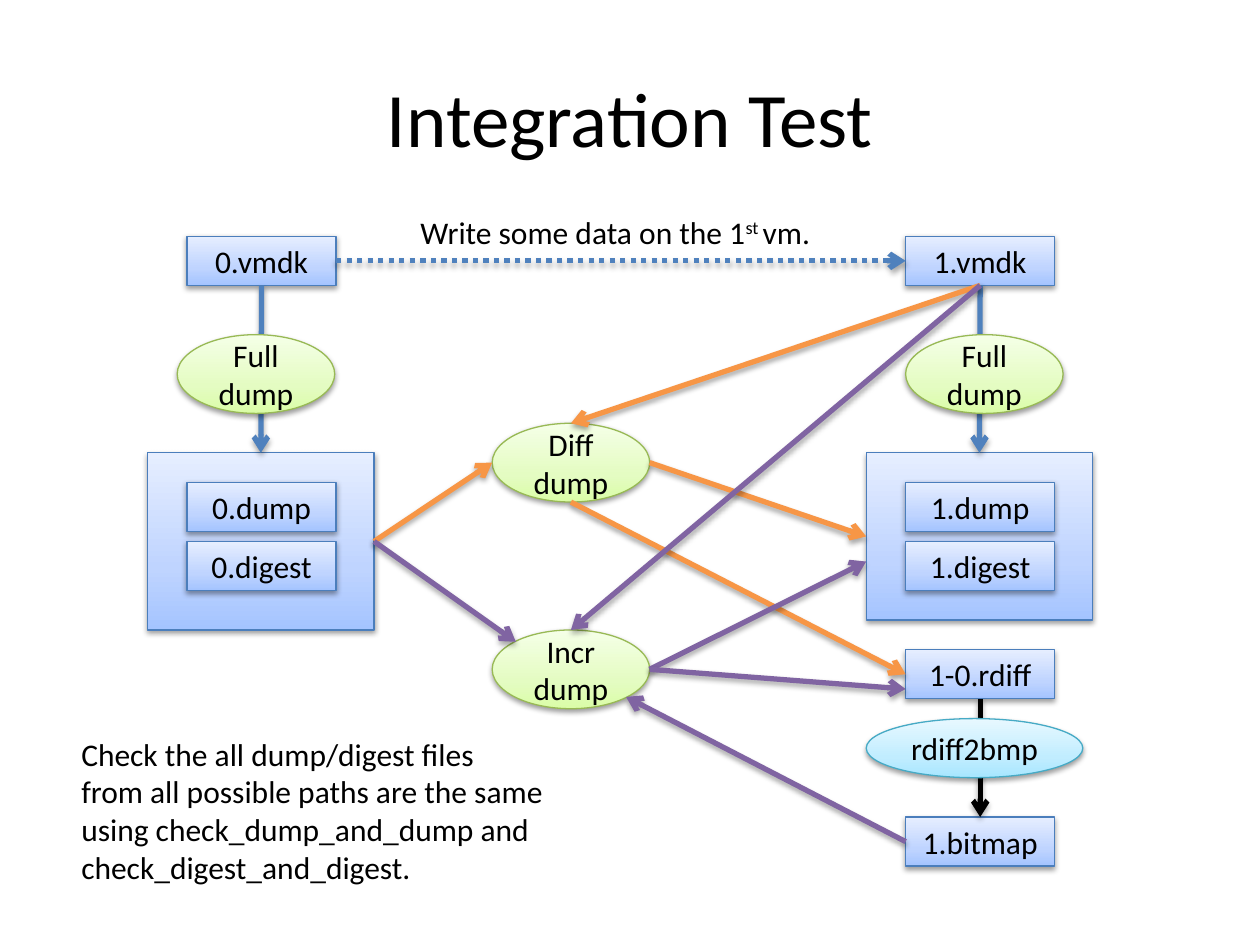
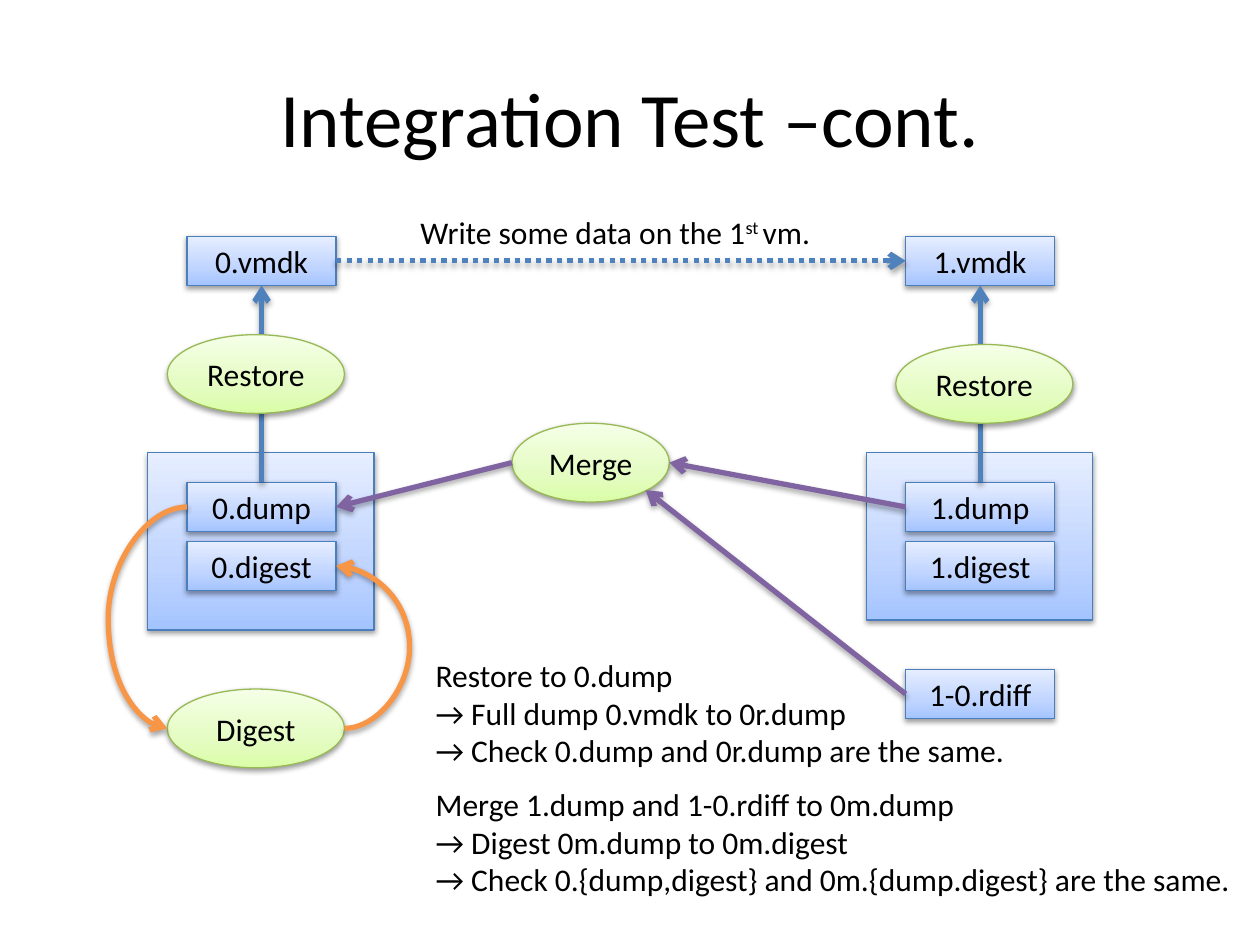
from dataclasses import dataclass

from lxml.etree import SubElement
from pptx import Presentation
from pptx.dml.color import RGBColor
from pptx.enum.dml import MSO_LINE
from pptx.enum.shapes import MSO_CONNECTOR, MSO_SHAPE
from pptx.enum.text import MSO_ANCHOR, PP_ALIGN
from pptx.oxml import parse_xml
from pptx.oxml.ns import nsdecls, qn
from pptx.util import Inches, Pt

COLUMNS, ROWS = 128, 96
CELL = Inches(10) / COLUMNS
FONT = "Calibri"

COLOURS = {
    "text": "000000", "convert": "000000",
    "full": "4F81BD", "diff": "F79646", "merge": "8064A2",
}
# Line colour, then gradient stops from bottom to top
LOOKS = {
    "file": ("4B7EBC", {0: "A4C4FF", 35: "BFD4FF", 100: "E6EEFF"}),
    "action": ("98B955", {0: "DAFDA7", 35: "E4FCC2", 100: "F5FFE7"}),
    "tool": ("46AAC5", {0: "A7E6FF", 35: "C1EDFF", 100: "E7F8FF"}),
}
# Attachment points as shares of a box; corners lie on the ellipse
SIDES = {
    "top": (0.5, 0), "bottom": (0.5, 1), "left": (0, 0.5), "right": (1, 0.5),
    "upper left": (0.15, 0.15), "lower right": (0.85, 0.85),
}
FILE_SIZE = (15.15, 5)
ACTION_SIZE = (16, 8)
WIDE_ACTION_SIZE = (18, 8)


@dataclass
class Box:
    """A rectangle measured in grid columns and rows."""
    left: float
    top: float
    width: float
    height: float

    def area(self, column, row, width, height):
        return Box(self.left + column, self.top + row, width, height)

    def point(self, side):
        across, down = SIDES.get(side, side)
        return self.left + across * self.width, self.top + down * self.height

    def lengths(self):
        return to_lengths(self.left, self.top, self.width, self.height)


def to_lengths(*cells):
    return [round(cell * CELL) for cell in cells]


def apply_format(target, values):
    for name, value in values.items():
        setattr(target, name, value)


def format_paragraph(paragraph, size, alignment):
    paragraph.alignment = alignment
    for run in paragraph.runs:
        apply_format(run.font, {"name": FONT, "size": Pt(size)})
        run.font.color.rgb = RGBColor.from_string(COLOURS["text"])


def add_shadow(effects, distance, opacity):
    shadow = SubElement(effects, qn("a:outerShdw"), blurRad="40000", dist=str(distance),
                        dir="5400000", rotWithShape="0")
    colour = SubElement(shadow, qn("a:srgbClr"), val="000000")
    SubElement(colour, qn("a:alpha"), val=str(opacity * 1000))


def write_lines(frame, lines, size=18, alignment=PP_ALIGN.CENTER):
    for index, line in enumerate(lines):
        paragraph = frame.add_paragraph() if index else frame.paragraphs[0]
        paragraph.text = line
        format_paragraph(paragraph, size, alignment)


def add_node(slide, box, text="", look="file"):
    """Draw a file rectangle or an action ellipse and return its box."""
    preset = MSO_SHAPE.RECTANGLE if look == "file" else MSO_SHAPE.OVAL
    shape = slide.shapes.add_shape(preset, *box.lengths())
    line_colour, stops = LOOKS[look]
    stop_xml = "".join(f'<a:gs pos="{share * 1000}"><a:srgbClr val="{colour}"/></a:gs>'
                       for share, colour in stops.items())
    gradient = parse_xml(f'<a:gradFill {nsdecls("a")} rotWithShape="1"><a:gsLst>{stop_xml}'
                         '</a:gsLst><a:lin ang="16200000" scaled="0"/></a:gradFill>')
    properties = shape.element.spPr
    properties.find(qn("a:prstGeom")).addnext(gradient)
    shape.line.color.rgb = RGBColor.from_string(line_colour)
    shape.line.width = Pt(0.75)
    shape.shadow.inherit = False
    add_shadow(properties.find(qn("a:effectLst")), 20000, 38)
    if text:
        shape.text_frame.vertical_anchor = MSO_ANCHOR.MIDDLE
        write_lines(shape.text_frame, text.split("\n"))
    return box


def add_arrow(slide, start, end, colour, dash=None, bulge=None):
    """Join two grid points; a bulge in columns bends the arrow sideways."""
    kind = MSO_CONNECTOR.CURVE if bulge else MSO_CONNECTOR.STRAIGHT
    connector = slide.shapes.add_connector(kind, *to_lengths(*start, *end))
    apply_format(connector.line, {"width": Pt(3), "dash_style": dash})
    connector.line.color.rgb = RGBColor.from_string(COLOURS[colour])
    properties = connector._element.spPr
    SubElement(properties.find(qn("a:ln")), qn("a:tailEnd"), type="arrow")
    add_shadow(SubElement(properties, qn("a:effectLst")), 23000, 35)
    if bulge:
        geometry = properties.find(qn("a:prstGeom"))
        for guide in geometry.findall(qn("a:avLst")):
            geometry.remove(guide)
        bend = round(bulge / (end[0] - start[0]) * 100000)
        SubElement(SubElement(geometry, qn("a:avLst")), qn("a:gd"),
                   name="adj1", fmla=f"val {bend}")


def join_nodes(slide, nodes, colour, joins):
    for source, source_side, target, target_side in joins:
        add_arrow(slide, nodes[source].point(source_side),
                  nodes[target].point(target_side), colour)


def add_text(slide, box, lines, size=18, alignment=PP_ALIGN.LEFT, **frame_format):
    frame = slide.shapes.add_textbox(*box.lengths()).text_frame
    apply_format(frame, {"word_wrap": False, **frame_format})
    write_lines(frame, lines, size, alignment)
    return frame


def add_title(slide, box, title):
    add_text(slide, box, [title], 44, PP_ALIGN.CENTER,
             word_wrap=True, vertical_anchor=MSO_ANCHOR.MIDDLE)


def add_machine(slide, box, number):
    """Disk on top, panel with dump and digest below."""
    return {
        f"{number}.panel": add_node(slide, box.area(0, 22, box.width, box.height - 22)),
        **{f"{number}.{name}": add_node(slide, box.area(4, row, *FILE_SIZE), f"{number}.{name}")
           for name, row in (("vmdk", 0), ("dump", 25), ("digest", 31))},
    }


def add_write_step(slide, box, nodes):
    """Dotted arrow between the disks with its label."""
    add_arrow(slide, nodes["0.vmdk"].point("right"), nodes["1.vmdk"].point("left"),
              "full", MSO_LINE.ROUND_DOT)
    frame = add_text(slide, box, ["Write some data on the 1"], word_wrap=True)
    paragraph = frame.paragraphs[0]
    for text in ("st ", "vm."):
        paragraph.add_run().text = text
    format_paragraph(paragraph, 18, PP_ALIGN.CENTER)
    paragraph.runs[1]._r.get_or_add_rPr().set("baseline", "30000")


def start_slide(presentation, page, title):
    """Shared by both slides: title, two machines, write step."""
    slide = presentation.slides.add_slide(presentation.slide_layouts[6])
    add_title(slide, page.area(page.width * 0.05, page.height * 0.04,
                               page.width * 0.9, page.height / 6), title)
    nodes = {**add_machine(slide, page.area(15, 24, 23, 40), 0),
             **add_machine(slide, page.area(88, 24, 23, 39), 1)}
    add_write_step(slide, page.area(38, 21, 49, 5), nodes)
    return slide, nodes


def add_dump_slide(presentation, page):
    slide, nodes = start_slide(presentation, page, "Integration Test")

    # Difference files
    for name, row in (("1-0.rdiff", 66), ("1.bitmap", 83)):
        nodes[name] = add_node(slide, page.area(92, row, *FILE_SIZE), name)

    # Vertical arrows run beneath the ellipses
    join_nodes(slide, nodes, "full", [(f"{number}.vmdk", "bottom", f"{number}.panel", "top")
                                      for number in (0, 1)])
    join_nodes(slide, nodes, "convert", [("1-0.rdiff", "bottom", "1.bitmap", "top")])
    for column in (18, 92):
        add_node(slide, page.area(column, 34, *ACTION_SIZE), "Full dump", "action")
    add_node(slide, page.area(88, 73, 22, 6), "rdiff2bmp", "tool")
    for name, row in (("Diff", 43), ("Incr", 64)):
        nodes[name] = add_node(slide, page.area(50, row, *ACTION_SIZE), f"{name}\ndump", "action")

    # Routes through the two partial dumps
    join_nodes(slide, nodes, "diff", [
        ("0.panel", "right", "Diff", "left"),
        ("1.vmdk", "bottom", "Diff", "top"),
        ("Diff", "right", "1.panel", "left"),
        ("Diff", "bottom", "1-0.rdiff", "left"),
    ])
    join_nodes(slide, nodes, "merge", [
        ("0.panel", "right", "Incr", "upper left"),
        ("1.vmdk", "bottom", "Incr", "top"),
        ("1.bitmap", "left", "Incr", "lower right"),
        ("Incr", "right", "1.panel", (0, 0.65)),
        ("Incr", "right", "1-0.rdiff", (0, 0.8)),
    ])
    add_text(slide, page.area(7, 74, 50, 17), [
        "Check the all dump/digest files\nfrom all possible paths are the same",
        "using check_dump_and_dump and\ncheck_digest_and_digest.",
    ])


def add_restore_slide(presentation, page):
    slide, nodes = start_slide(presentation, page, "Integration Test –cont.")
    nodes["1-0.rdiff"] = add_node(slide, page.area(92, 68, *FILE_SIZE), "1-0.rdiff")

    # Restore arrows run beneath the ellipses
    join_nodes(slide, nodes, "full", [(f"{number}.dump", "top", f"{number}.vmdk", "bottom")
                                      for number in (0, 1)])
    for name, column, row, size in (("Restore", 17, 34, WIDE_ACTION_SIZE),
                                    ("Restore", 91, 35, WIDE_ACTION_SIZE),
                                    ("Merge", 52, 43, ACTION_SIZE),
                                    ("Digest", 17, 70, WIDE_ACTION_SIZE)):
        nodes[name] = add_node(slide, page.area(column, row, *size), name, "action")

    # Merge routes and digest loop
    join_nodes(slide, nodes, "merge", [
        ("Merge", "left", "0.dump", "right"),
        ("1.dump", "left", "Merge", "right"),
        ("1-0.rdiff", "left", "Merge", "lower right"),
    ])
    for source, target, side, bulge in (("0.dump", "Digest", "left", -8),
                                        ("Digest", "0.digest", "right", 6.6)):
        add_arrow(slide, nodes[source].point(side), nodes[target].point(side),
                  "diff", bulge=bulge)

    # Check steps
    add_text(slide, page.area(43, 66, 61.3, 13), [
        "Restore to 0.dump\n→ Full dump 0.vmdk to 0r.dump",
        "→ Check 0.dump and 0r.dump are the same.",
    ])
    add_text(slide, page.area(43, 79.1, 84.5, 13), [
        "Merge 1.dump and 1-0.rdiff to 0m.dump\n→ Digest 0m.dump to 0m.digest",
        "→ Check 0.{dump,digest} and 0m.{dump.digest} are the same.",
    ])


def main():
    presentation = Presentation()
    apply_format(presentation, {"slide_width": Inches(10), "slide_height": Inches(7.5)})
    page = Box(0, 0, COLUMNS, ROWS)
    add_dump_slide(presentation, page)
    add_restore_slide(presentation, page)
    presentation.save("out.pptx")


if __name__ == "__main__":
    main()
